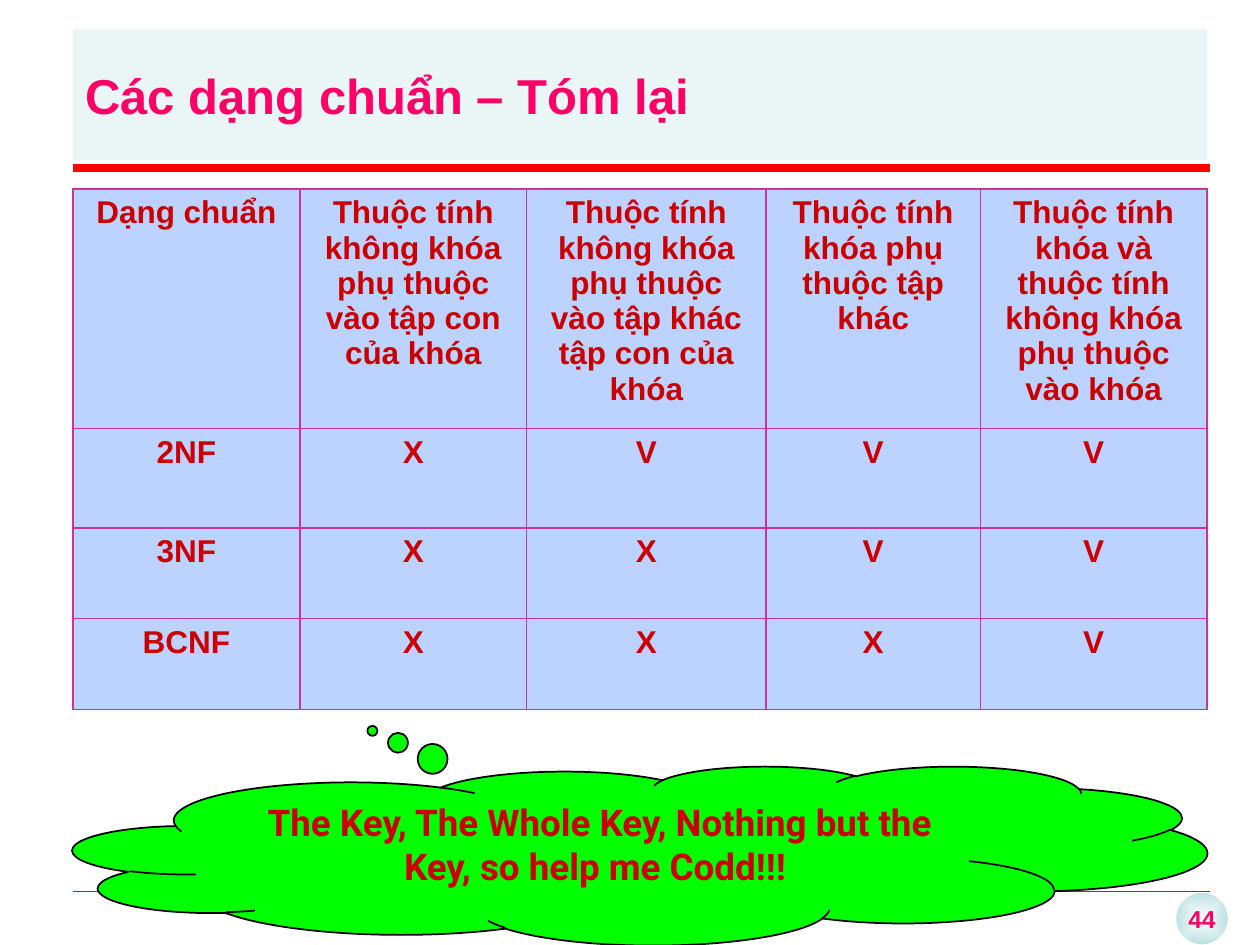
from lxml import etree
from pptx import Presentation
from pptx.dml.color import RGBColor
from pptx.enum import shapes, text
from pptx.oxml import parse_xml
from pptx.oxml.ns import nsdecls, qn
from pptx.util import Inches, Pt

PINK, RED, DARK_RED, TEAL, WHITE = "FF0066", "FF0000", "CC0000", "BBE0E3", "FFFFFF"
CELL_BLUE, BORDER, GREEN = "BDD3FF", "CC3399", "00FF00"
LEFT, WIDTH = 0.58, 9

HEADINGS = [
    "Dạng chuẩn",
    "Thuộc tính không khóa phụ thuộc vào tập con của khóa",
    "Thuộc tính không khóa phụ thuộc vào tập khác tập con của khóa",
    "Thuộc tính khóa phụ thuộc tập khác",
    "Thuộc tính khóa và thuộc tính không khóa phụ thuộc vào khóa",
]
NORMAL_FORMS = [("2NF", *"XVVV"), ("3NF", *"XXVV"), ("BCNF", *"XXXV")]
COLUMN_WIDTHS = [1.8, 1.8, 1.9, 1.7, 1.8]
ROW_HEIGHTS = [1.9, 0.79, 0.72, 0.72]


def color(hex_code):
    return RGBColor.from_string(hex_code)


def write(frame, content, size, hex_code, align=text.PP_ALIGN.CENTER, font="Arial"):
    paragraph = frame.paragraphs[0]
    paragraph.alignment = align
    run = paragraph.add_run()
    run.text = content
    run.font.size, run.font.name, run.font.bold = Pt(size), font, True
    run.font.color.rgb = color(hex_code)


def add_box(slide, preset, box):
    shape = slide.shapes.add_shape(preset, *map(Inches, box))
    shape.shadow.inherit = False
    return shape


def add_rule(slide, left, top, width, weight):
    rule = slide.shapes.add_connector(
        shapes.MSO_CONNECTOR.STRAIGHT,
        Inches(left), Inches(top), Inches(left + width), Inches(top))
    rule.line.color.rgb = color(RED)
    rule.line.width = Pt(weight)
    etree.SubElement(rule._element.spPr, qn("a:effectLst"))


def add_page_number(slide, box):
    badge = add_box(slide, shapes.MSO_SHAPE.OVAL, box)
    badge.fill.gradient()
    for stop, shade in zip(badge.fill.gradient_stops, (WHITE, TEAL)):
        stop.color.rgb = color(shade)
    # Radiate the gradient from the centre
    gradient = badge._element.spPr.find(qn("a:gradFill"))
    gradient.replace(gradient.find(qn("a:lin")), parse_xml(
        f'<a:path {nsdecls("a")} path="shape">'
        '<a:fillToRect l="50000" t="50000" r="50000" b="50000"/></a:path>'))
    badge.line.color.rgb = color(WHITE)
    badge.line.width = Pt(0.75)
    badge.text_frame.word_wrap = False
    write(badge.text_frame, "44", 14, PINK)


def add_title(slide, box):
    title = add_box(slide, shapes.MSO_SHAPE.RECTANGLE, box)
    title.fill.solid()
    title.fill.fore_color.rgb = color(TEAL)
    tint = title._element.spPr.find(qn("a:solidFill"))[0]
    etree.SubElement(tint, qn("a:alpha"), val="30000")
    title.line.fill.background()
    title.text_frame.vertical_anchor = text.MSO_ANCHOR.MIDDLE
    write(title.text_frame, "Các dạng chuẩn – Tóm lại", 28, PINK, text.PP_ALIGN.LEFT)


def border_cell(cell):
    properties = cell._tc.get_or_add_tcPr()
    for position, side in enumerate(("lnL", "lnR", "lnT", "lnB")):
        properties.insert(position, parse_xml(
            f'<a:{side} {nsdecls("a")} w="{Pt(1)}"><a:solidFill>'
            f'<a:srgbClr val="{BORDER}"/></a:solidFill></a:{side}>'))


def add_summary_table(slide, box):
    rows = [HEADINGS, *NORMAL_FORMS]
    table = slide.shapes.add_table(
        len(rows), len(HEADINGS), *map(Inches, box)).table
    for column, width in zip(table.columns, COLUMN_WIDTHS):
        column.width = Inches(width)
    for row, height, labels in zip(table.rows, ROW_HEIGHTS, rows):
        row.height = Inches(height)
        for cell, label in zip(row.cells, labels):
            cell.fill.solid()
            cell.fill.fore_color.rgb = color(CELL_BLUE)
            border_cell(cell)
            write(cell.text_frame, label, 18, DARK_RED)


def add_motto(slide, box):
    cloud = add_box(slide, shapes.MSO_SHAPE.CLOUD_CALLOUT, box)
    # Tail points up towards the table
    cloud.adjustments[0], cloud.adjustments[1] = -0.236, -0.697
    cloud.fill.solid()
    cloud.fill.fore_color.rgb = color(GREEN)
    cloud.line.color.rgb = color("000000")
    cloud.line.width = Pt(1)
    cloud.text_frame.vertical_anchor = text.MSO_ANCHOR.TOP
    write(cloud.text_frame,
          "The Key, The Whole Key, Nothing but the Key, so help me Codd!!! ",
          21, DARK_RED, font="Roboto")


def main():
    deck = Presentation()
    deck.slide_width, deck.slide_height = Inches(10), Inches(7.5)
    slide = deck.slides.add_slide(deck.slide_layouts[6])

    # Frame of the page
    add_page_number(slide, (9.33, 7.08, 0.42, 0.42))
    add_rule(slide, LEFT, 7.07, 9.02, 0.25)
    add_rule(slide, LEFT, 1.33, 9.02, 4.5)

    # Content
    add_title(slide, (LEFT, 0.24, WIDTH, 1.03))
    add_summary_table(slide, (LEFT, 1.5, WIDTH, sum(ROW_HEIGHTS)))
    add_motto(slide, (LEFT, 6.08, WIDTH, 1.42))
    deck.save("out.pptx")


if __name__ == "__main__":
    main()
